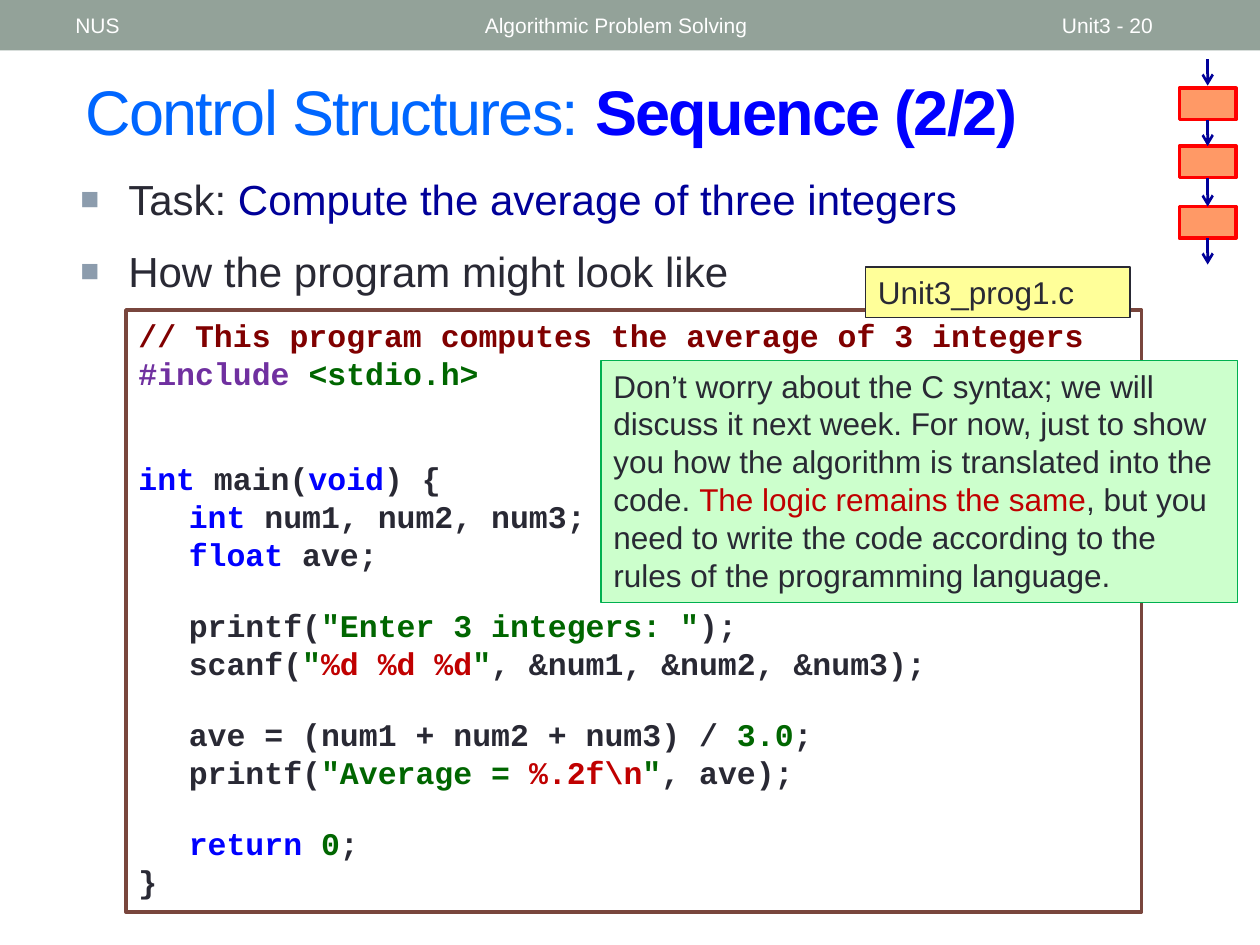
from pptx import Presentation
from pptx.dml.color import RGBColor
from pptx.enum.shapes import MSO_CONNECTOR, MSO_SHAPE
from pptx.enum.text import MSO_ANCHOR, PP_ALIGN
from pptx.oxml import parse_xml
from pptx.oxml.ns import nsdecls
from pptx.util import Inches, Pt

WHITE = RGBColor(0xFF, 0xFF, 0xFF)
SAGE = RGBColor(0x93, 0xA2, 0x99)
DARK = RGBColor(0x29, 0x29, 0x34)
SKY = RGBColor(0x00, 0x66, 0xFF)
BLUE = RGBColor(0x00, 0x00, 0xFF)
NAVY = RGBColor(0x00, 0x00, 0x99)
BROWN = RGBColor(0x79, 0x46, 0x3D)
MAROON = RGBColor(0x80, 0x00, 0x00)
PURPLE = RGBColor(0x70, 0x30, 0xA0)
GREEN = RGBColor(0x00, 0x66, 0x00)
CRIMSON = RGBColor(0xC0, 0x00, 0x00)
YELLOW = RGBColor(0xFF, 0xFF, 0x99)
MINT = RGBColor(0xCC, 0xFF, 0xCC)
EMERALD = RGBColor(0x00, 0xB0, 0x50)
ORANGE = RGBColor(0xFF, 0x99, 0x66)
RED = RGBColor(0xFF, 0x00, 0x00)

prs = Presentation()
prs.slide_width, prs.slide_height = Inches(10), Inches(7.5)
s = prs.slides.add_slide(prs.slide_layouts[6])


def add_box(x, y, w, h, fill, line=None, width=0.75):
    sp = s.shapes.add_shape(MSO_SHAPE.RECTANGLE, Inches(x), Inches(y), Inches(w), Inches(h))
    sp.shadow.inherit = False
    sp.fill.solid()
    sp.fill.fore_color.rgb = fill
    if line is None:
        sp.line.fill.background()
    else:
        sp.line.color.rgb = line
        sp.line.width = Pt(width)
    return sp


def write(sp, lines, size, font="Arial", bold=None, anchor=MSO_ANCHOR.TOP):
    tf = sp.text_frame
    tf.word_wrap = True
    tf.vertical_anchor = anchor
    for i, line in enumerate(lines):
        p = tf.paragraphs[0] if i == 0 else tf.add_paragraph()
        p.alignment = PP_ALIGN.LEFT
        p.line_spacing = Pt(size * 1.2)
        for text, color in line:
            r = p.add_run()
            r.text = text
            r.font.name = font
            r.font.size = Pt(size)
            r.font.bold = bold
            r.font.color.rgb = color
    return tf


add_box(0, 0, 10, 0.4, SAGE)
for text, x, w in [
    ("NUS", 0.5, 3.17),
    ("Algorithmic Problem Solving", 3.75, 4.5),
    ("Unit3 - 20", 8.33, 1.17),
]:
    header = s.shapes.add_textbox(Inches(x), Inches(0.02), Inches(w), Inches(0.36))
    write(header, [[(text, WHITE)]], 12, anchor=MSO_ANCHOR.MIDDLE)

title = s.shapes.add_textbox(Inches(0.58), Inches(0.5), Inches(8.92), Inches(0.75))
tf = write(title, [[("Control Structures: ", SKY), ("Sequence (2/2)", BLUE)]], 36,
           anchor=MSO_ANCHOR.MIDDLE)
for r in tf.paragraphs[0].runs:
    r.font._element.set("spc", "-100")
tf.paragraphs[0].runs[1].font.bold = True

body = s.shapes.add_textbox(Inches(0.54), Inches(1.33), Inches(8.9), Inches(1.23))
tf = write(body, [
    [("Task: ", DARK), ("Compute the average of three integers", NAVY)],
    [("How the program might look like", DARK)],
], 24)
tf.paragraphs[1].space_before = Pt(12)
for p in tf.paragraphs:
    pPr = p._p.get_or_add_pPr()
    pPr.set("marL", str(Inches(0.38)))
    pPr.set("indent", str(-Inches(0.38)))
    for xml in [
        f'<a:buClr {nsdecls("a")}><a:srgbClr val="8C9CAD"/></a:buClr>',
        f'<a:buSzPct {nsdecls("a")} val="75000"/>',
        f'<a:buFont {nsdecls("a")} typeface="Arial"/>',
        f'<a:buChar {nsdecls("a")} char="■"/>',
    ]:
        pPr.append(parse_xml(xml))

code = [
    (0, [("// This program computes the average of 3 integers", MAROON)]),
    (0, [("#include ", PURPLE), ("<stdio.h>", GREEN)]),
    (2, [("int", BLUE), (" main(", DARK), ("void", BLUE), (") {", DARK)]),
    (0, [("\tint", BLUE), (" num1, num2, num3;", DARK)]),
    (0, [("\tfloat ", BLUE), ("ave;", DARK)]),
    (1, [("\tprintf(", DARK), ('"Enter 3 integers: "', GREEN), (");", DARK)]),
    (0, [("\tscanf(", DARK), ('"', GREEN), ("%d %d %d", CRIMSON), ('"', GREEN),
         (", &num1, &num2, &num3);", DARK)]),
    (1, [("\tave = (num1 + num2 + num3) / ", DARK), ("3.0", GREEN), (";", DARK)]),
    (0, [("\tprintf(", DARK), ('"Average = ', GREEN), ("%.2f\\n", CRIMSON), ('"', GREEN),
         (", ave);", DARK)]),
    (1, [("\treturn ", BLUE), ("0", GREEN), (";", DARK)]),
    (0, [("}", DARK)]),
]
listing = add_box(1, 2.46, 8.06, 4.78, WHITE, BROWN, 2.08)
tf = write(listing, [line for gap, line in code], 18, "Courier New", True)
for p, (gap, line) in zip(tf.paragraphs, code):
    if gap:
        p.space_before = Pt(19.2 * gap)
    tabs = "".join(f'<a:tab pos="{Inches(x)}" algn="l"/>' for x in (0.4, 0.78, 1.17))
    p._p.get_or_add_pPr().append(parse_xml(f'<a:tabLst {nsdecls("a")}>{tabs}</a:tabLst>'))

file_label = add_box(6.87, 2.12, 2.1, 0.4, YELLOW, DARK)
write(file_label, [[("Unit3_prog1.c", DARK)]], 18)

steps = [add_box(9.36, y, 0.45, 0.25, ORANGE, RED, 2.08) for y in (0.7, 1.16, 1.64)]
for start, end, y1, y2 in [
    (None, None, 0.47, 0.68),
    (steps[0], steps[1], 0.95, 1.16),
    (steps[1], steps[2], 1.41, 1.64),
    (steps[2], None, 1.89, 2.1),
]:
    arrow = s.shapes.add_connector(
        MSO_CONNECTOR.STRAIGHT, Inches(9.585), Inches(y1), Inches(9.585), Inches(y2))
    if start:
        arrow.begin_connect(start, 2)
    if end:
        arrow.end_connect(end, 0)
    arrow.line.color.rgb = NAVY
    arrow.line.width = Pt(1.5)
    arrow.line._get_or_add_ln().append(parse_xml(f'<a:tailEnd {nsdecls("a")} type="arrow"/>'))
    arrow._element.spPr.append(parse_xml(f'<a:effectLst {nsdecls("a")}/>'))

note = add_box(4.77, 2.86, 5.05, 1.92, MINT, EMERALD)
write(note, [[
    ("Don’t worry about the C syntax; we will discuss it next week. For now, just to show "
     "you how the algorithm is translated into the code. ", DARK),
    ("The logic remains the same", CRIMSON),
    (", but you need to write the code according to the rules of the programming language.", DARK),
]], 18)

prs.save("out.pptx")
